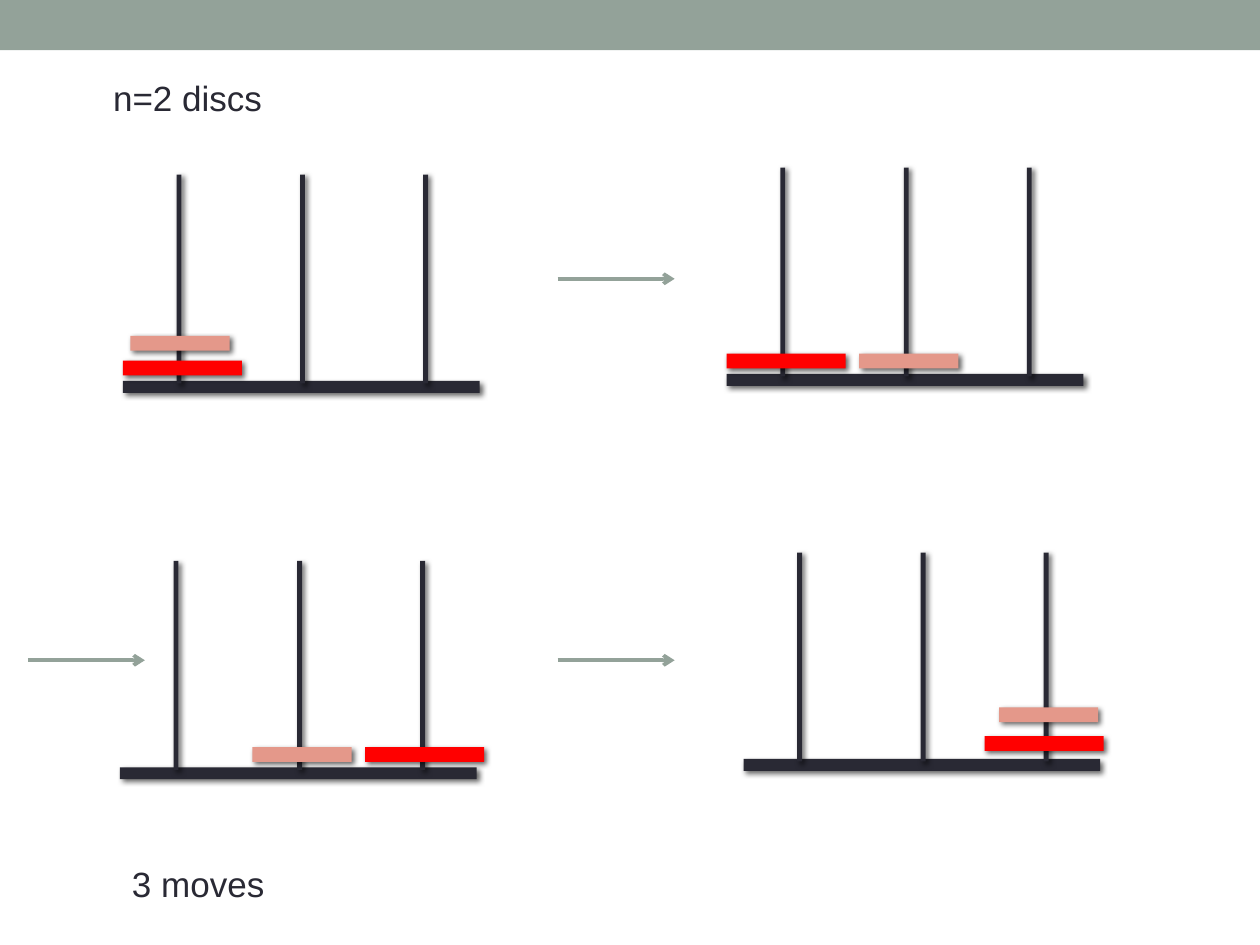
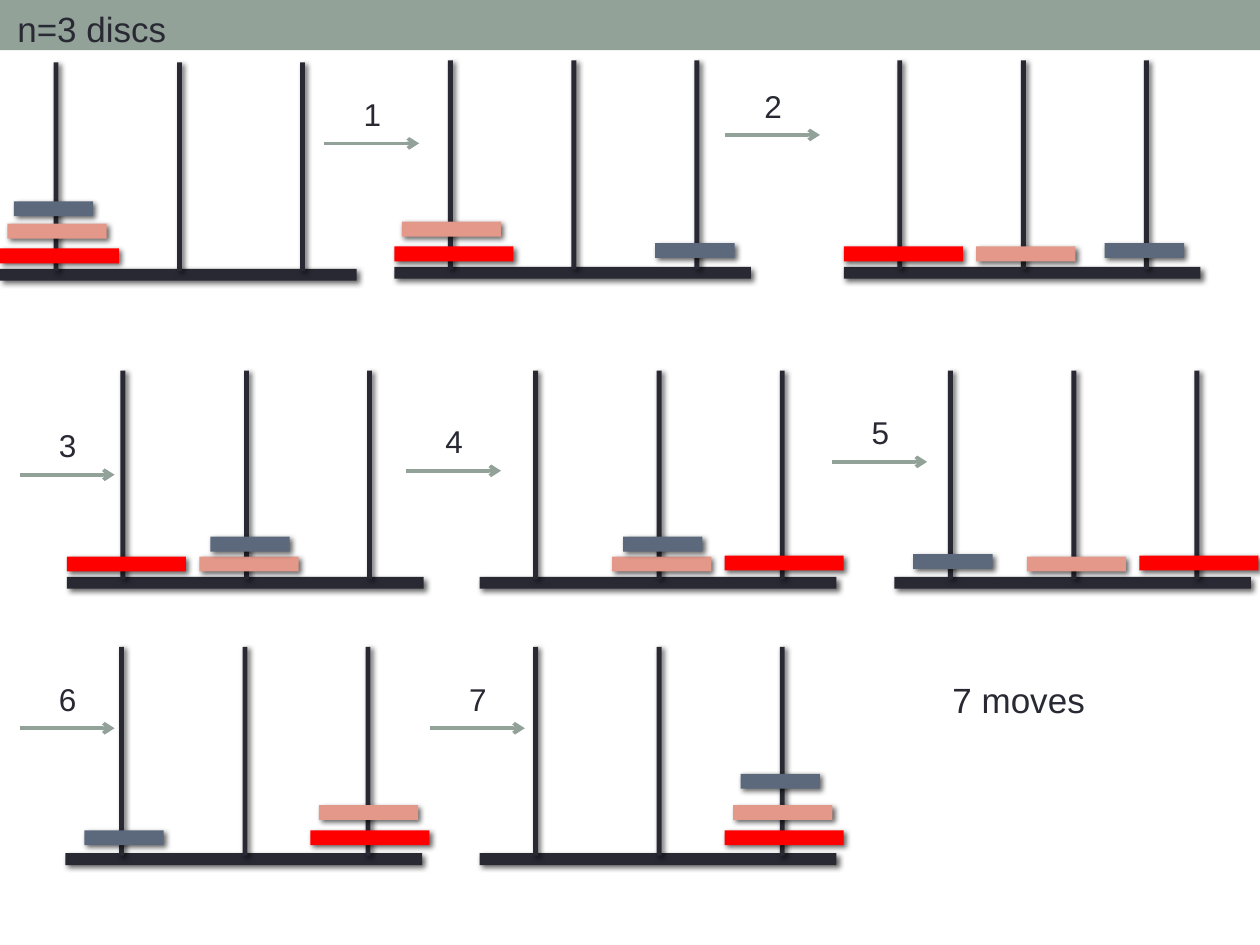
from pptx import Presentation
from pptx.dml.color import RGBColor
from pptx.enum.shapes import MSO_CONNECTOR, MSO_SHAPE
from pptx.enum.text import MSO_AUTO_SIZE
from pptx.oxml.ns import qn
from pptx.oxml.xmlchemy import OxmlElement
from pptx.util import Cm, Pt

RECTANGLE = MSO_SHAPE.RECTANGLE
STRAIGHT = MSO_CONNECTOR.STRAIGHT
FIT_SHAPE = MSO_AUTO_SIZE.SHAPE_TO_FIT_TEXT
SLIDE_WIDTH, SLIDE_HEIGHT = 25.4, 19.05

COLORS = {
    "sage": "93A299",
    "ink": "292934",
    "large": "FF0000",
    "middle": "E4988A",
    "small": "5C697C",
    "shadow": "000000",
}
CAPTION = {"name": "Arial", "size": Pt(20)}
STEP_NUMBER = {"name": "Arial", "size": Pt(18)}
FRAME = {"word_wrap": True, "auto_size": FIT_SHAPE}
SHADOW = {"blurRad": "38100", "dist": "25400", "dir": "2700000",
          "algn": "ctr", "rotWithShape": "0"}

BASE_WIDTH, BASE_HEIGHT = 7.19, 0.24
PEG_WIDTH, PEG_HEIGHT, PEG_RISE = 0.1, 4.21, 4.16
PEG_OFFSETS = (1.08, 3.57, 6.05)
DISC_HEIGHT = 0.3
DISC_WIDTHS = {"large": 2.4, "middle": 2.0, "small": 1.6}
DISC_OFFSETS = {
    "large": (0, 2.47, 4.94),
    "middle": (0.15, 2.67, 5.11),
    "small": (0.38, 2.89, 5.26),
}

TWO_DISC_TOWERS = [
    (2.48, 7.68, [("large", 0, 0.41), ("middle", 0, 0.91)]),
    (14.65, 7.54, [("large", 0, 0.41), ("middle", 1, 0.41)]),
    (2.42, 15.47, [("large", 2, 0.41), ("middle", 1, 0.41)]),
    (14.99, 15.3, [("large", 2, 0.46, -0.08), ("middle", 2, 1.04, 0.04)]),
]
TWO_DISC_ARROWS = [(11.24, 5.62), (0.56, 13.31), (11.24, 13.31)]

THREE_DISC_TOWERS = [
    (0, 5.42, [("large", 0, 0.41), ("middle", 0, 0.91), ("small", 0, 1.36, -0.1)]),
    (7.95, 5.38, [("large", 0, 0.41), ("middle", 0, 0.91), ("small", 2, 0.48)]),
    (17.01, 5.38, [("large", 0, 0.41), ("middle", 1, 0.41), ("small", 2, 0.48)]),
    (1.35, 11.63, [("large", 0, 0.41), ("middle", 1, 0.41), ("small", 1, 0.81)]),
    (9.67, 11.63, [("large", 2, 0.43), ("middle", 1, 0.41), ("small", 1, 0.81)]),
    (18.03, 11.63, [("large", 2, 0.43), ("middle", 1, 0.41), ("small", 0, 0.46)]),
    (1.32, 17.2, [("large", 2, 0.46), ("middle", 2, 0.97), ("small", 0, 0.46)]),
    (9.67, 17.2, [("large", 2, 0.46), ("middle", 2, 0.97), ("small", 2, 1.6)]),
]
THREE_DISC_STEPS = [
    (6.54, 2.89), (14.62, 2.72), (0.4, 9.57), (8.19, 9.49),
    (16.78, 9.31), (0.4, 14.68), (8.67, 14.68),
]


def rgb(color):
    return RGBColor.from_string(COLORS[color])


def add_block(shapes, left, top, width, height, color):
    block = shapes.add_shape(RECTANGLE, Cm(left), Cm(top), Cm(width), Cm(height))
    block.shadow.inherit = False
    block.fill.solid()
    block.fill.fore_color.rgb = rgb(color)
    block.line.fill.background()
    return block


def add_raised_block(shapes, left, top, width, height, color):
    block = add_block(shapes, left, top, width, height, color)
    shadow = OxmlElement("a:outerShdw")
    for name, value in SHADOW.items():
        shadow.set(name, value)
    shadow_color = OxmlElement("a:srgbClr")
    shadow_color.set("val", COLORS["shadow"])
    alpha = OxmlElement("a:alpha")
    alpha.set("val", "60000")
    shadow_color.append(alpha)
    shadow.append(shadow_color)
    block._element.spPr.find(qn("a:effectLst")).append(shadow)


def add_text(shapes, text, left, top, width, height, font_format):
    box = shapes.add_textbox(Cm(left), Cm(top), Cm(width), Cm(height))
    for name, value in FRAME.items():
        setattr(box.text_frame, name, value)
    paragraph = box.text_frame.paragraphs[0]
    paragraph.text = text
    for name, value in font_format.items():
        setattr(paragraph.font, name, value)
    paragraph.font.color.rgb = rgb("ink")


def add_caption(slide, text, left, top, width):
    add_text(slide.shapes, text, left, top, width, 1.12, CAPTION)


def add_arrow(shapes, left, top, length):
    arrow = shapes.add_connector(
        STRAIGHT, Cm(left), Cm(top), Cm(left + length), Cm(top))
    arrow.line.color.rgb = rgb("sage")
    arrow.line.width = Pt(2.08)
    arrowhead = OxmlElement("a:tailEnd")
    arrowhead.set("type", "arrow")
    arrow.line._get_or_add_ln().append(arrowhead)
    arrow._element.spPr.append(OxmlElement("a:effectLst"))


def add_step(slide, number, left, top):
    shapes = slide.shapes.add_group_shape().shapes
    add_arrow(shapes, left, top, 1.91)
    add_text(shapes, str(number), left + 0.54, top - 1.1, 0.77, 1.03, STEP_NUMBER)


def add_disc(shapes, base_left, base_top, disc, peg, lift, nudge=0):
    left = base_left + DISC_OFFSETS[disc][peg] + nudge
    add_raised_block(
        shapes, left, base_top - lift, DISC_WIDTHS[disc], DISC_HEIGHT, disc)


def add_tower(slide, left, top, discs):
    shapes = slide.shapes.add_group_shape().shapes
    add_raised_block(shapes, left, top, BASE_WIDTH, BASE_HEIGHT, "ink")
    for offset in PEG_OFFSETS:
        add_raised_block(
            shapes, left + offset, top - PEG_RISE, PEG_WIDTH, PEG_HEIGHT, "ink")
    for disc in discs:
        add_disc(shapes, left, top, *disc)


def add_slide(presentation, towers):
    slide = presentation.slides.add_slide(presentation.slide_layouts[6])
    add_block(slide.shapes, 0, 0, SLIDE_WIDTH, 1.01, "sage")
    for tower in towers:
        add_tower(slide, *tower)
    return slide


def build_two_discs(presentation):
    slide = add_slide(presentation, TWO_DISC_TOWERS)
    add_caption(slide, "n=2 discs", 2.03, 1.42, 9.22)
    for left, top in TWO_DISC_ARROWS:
        add_arrow(slide.shapes, left, top, 2.36)
    add_caption(slide, "3 moves", 2.41, 17.27, 8.08)


def build_three_discs(presentation):
    slide = add_slide(presentation, THREE_DISC_TOWERS)
    add_caption(slide, "n=3 discs", 0.1, 0.03, 9.22)
    add_caption(slide, "7 moves", 18.95, 13.56, 3.76)
    for number, (left, top) in enumerate(THREE_DISC_STEPS, 1):
        add_step(slide, number, left, top)


def main():
    presentation = Presentation()
    presentation.slide_width = Cm(SLIDE_WIDTH)
    presentation.slide_height = Cm(SLIDE_HEIGHT)
    build_two_discs(presentation)
    build_three_discs(presentation)
    presentation.save("out.pptx")


if __name__ == "__main__":
    main()
